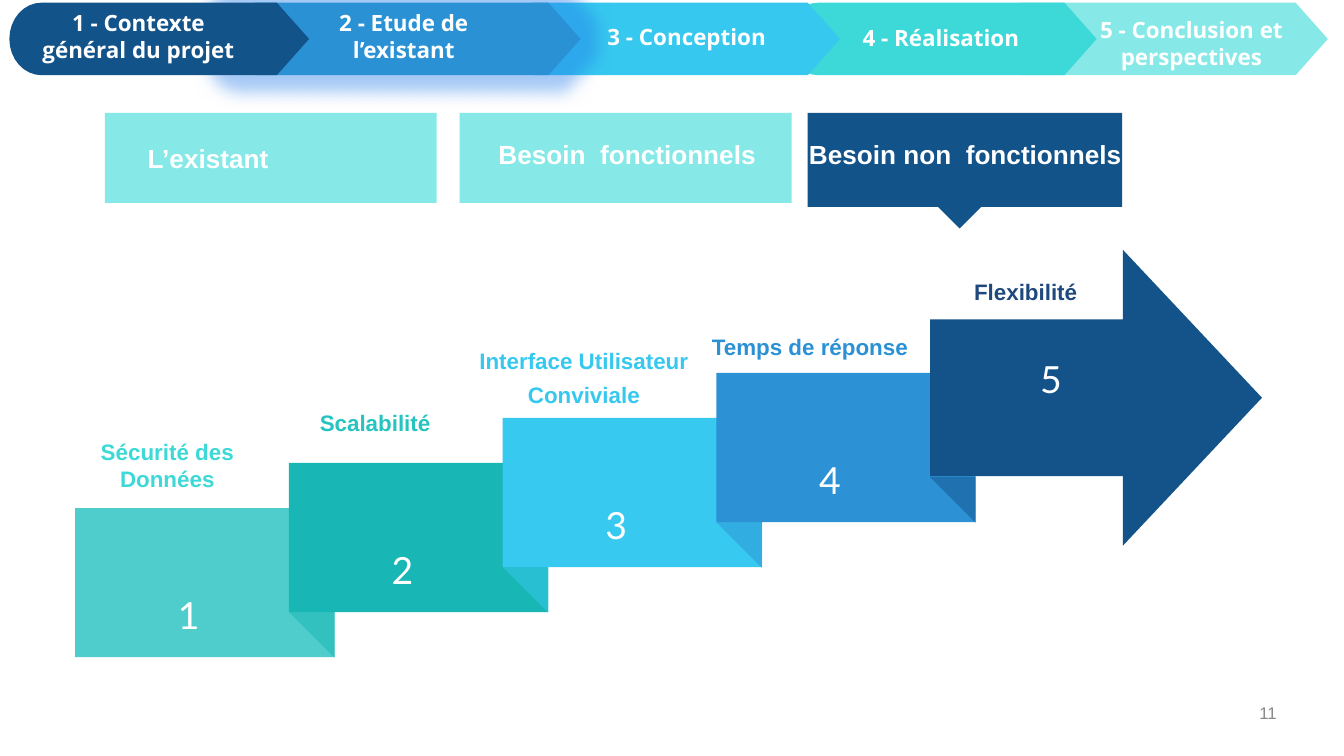
from math import cos, pi, sin

from lxml.etree import SubElement
from pptx import Presentation
from pptx.dml.color import RGBColor
from pptx.enum.shapes import MSO_SHAPE as Kind
from pptx.enum.text import MSO_ANCHOR as Anchor, PP_ALIGN as Align
from pptx.oxml.ns import qn
from pptx.util import Inches, Pt


def tint(code):
    return RGBColor.from_string(code)


class Deck:
    white = "FFFFFF"
    navy = "12538A"
    aqua = "86E9E8"
    pads = (0.1, 0.05)

    def __init__(self, wide, high):
        self.file = Presentation()
        self.file.slide_width = Inches(wide)
        self.file.slide_height = Inches(high)
        self.slide = self.file.slides.add_slide(self.file.slide_layouts[6])
        self.shapes = self.slide.shapes

    def paint(self, shape, fill, alpha=None):
        shape.shadow.inherit = False
        shape.fill.solid()
        shape.fill.fore_color.rgb = tint(fill)
        shape.line.fill.background()
        if alpha:
            color = shape.fill._xPr.find(".//" + qn("a:srgbClr"))
            SubElement(color, qn("a:alpha"), val=str(alpha * 1000))
        return shape

    def block(self, kind, x, y, w, h, fill):
        shape = self.shapes.add_shape(kind, *map(Inches, (x, y, w, h)))
        return self.paint(shape, fill)

    def poly(self, dots, fill, alpha=None):
        dots = [(Inches(x), Inches(y)) for x, y in dots]
        path = self.shapes.build_freeform(*dots[0])
        path.add_line_segments(dots[1:], close=True)
        return self.paint(path.convert_to_shape(), fill, alpha)

    def chevron(self, x, y, w, h, fill):
        tip, half = 0.24, h / 2
        turns = [pi * (0.5 + n / 16) for n in range(17)]
        dots = [(x + tip + tip * cos(t), y + half + half * sin(t)) for t in turns]
        dots += [(x + w - tip, y), (x + w, y + half), (x + w - tip, y + h)]
        return self.poly(dots, fill)

    def glow(self, shape, size, color, alpha):
        fx = shape._element.spPr.find(qn("a:effectLst"))
        halo = SubElement(fx, qn("a:glow"), rad=str(Pt(size)))
        clr = SubElement(halo, qn("a:srgbClr"), val=color)
        SubElement(clr, qn("a:alpha"), val=str(alpha * 1000))

    def text(self, words, x, y, w, h, size=12, font="Arial", color=white,
             bold=True, align=Align.CENTER, pads=pads, lead=None, anchor=Anchor.TOP):
        frame = self.shapes.add_textbox(*map(Inches, (x, y, w, h))).text_frame
        frame.word_wrap = True
        frame.vertical_anchor = anchor
        frame.margin_left = frame.margin_right = Inches(pads[0])
        frame.margin_top = frame.margin_bottom = Inches(pads[1])
        para = frame.paragraphs[0]
        para.alignment = align
        if lead:
            para.line_spacing = Pt(lead)
        run = para.add_run()
        run.text = words
        run.font.size = Pt(size)
        run.font.name = font
        run.font.bold = bold
        run.font.color.rgb = tint(color)

    def save(self):
        self.file.save("out.pptx")


def steps(deck):
    rows = [
        ("Sécurité des Données", "4FCDCC", "3DD9D8", (0.45, 3.26, 1.59, 0.4), None),
        ("Scalabilité ", "18B6B4", "26C4C0", (2.3, 2.99, 1.03, 0.23), 18.2),
        ("Interface Utilisateur Conviviale", "37C9EF", "37C8EF",
         (3.26, 2.53, 2.17, 0.48), 18.2),
        ("Temps de réponse ", "2C92D5", "2B91D5", (5.13, 2.43, 1.84, 0.23), 18.2),
        ("Flexibilité ", "13538A", "1F497D", (7.14, 2.02, 1.03, 0.23), 18.2),
    ]
    fold, high = 0.34, 1.11
    for i, (name, fill, color, box, lead) in enumerate(rows):
        x, y = 0.56 + 1.59 * i, 3.78 - 0.67 * i / 2
        base = y + high
        if i < 4:
            deck.block(Kind.RECTANGLE, x, y, 1.93, high, fill)
            spot = (x, y - 0.16, 1.69, 1.85)
        else:
            arrow = deck.block(Kind.RIGHT_ARROW, x, 1.86, 2.47, 2.2, fill)
            arrow.adjustments[0] = 0.53
            arrow.adjustments[1] = 0.47
            spot = (x, 2.18, 1.8, 1.22)
        if i:
            deck.poly([(x, base), (x + fold, base), (x + fold, base + fold)], fill, 50)
        deck.text(str(i + 1), *spot, size=20, font="Lato", bold=False,
                  pads=(0.03, 0.03), lead=28, anchor=Anchor.MIDDLE)
        deck.text(name, *box, color=color, pads=(0, 0), lead=lead)


def menu(deck):
    tabs = [
        ("1 - Contexte général du projet", 0.07, 2.23, deck.navy, (0.12, 0.02, 1.82, 0.5)),
        ("2 - Etude de l’existant", 1.67, 2.65, "2B91D5", (2.12, 0.02, 1.77, 0.5)),
        ("3 - Conception", 3.74, 2.51, "37C8EF", (4.36, 0.12, 1.5, 0.3)),
        ("4 - Réalisation", 5.85, 2.31, "3DD9D8", (6.32, 0.13, 1.5, 0.3)),
        ("5 - Conclusion et perspectives", 7.37, 2.51, deck.aqua, (8.07, 0.07, 1.59, 0.5)),
    ]
    for name, x, w, fill, box in reversed(tabs):
        tab = deck.chevron(x, 0.02, w, 0.54, fill)
        if name.startswith("2"):
            deck.glow(tab, 18, "1F78E8", 40)
    for name, x, w, fill, box in tabs:
        side = Align.LEFT if name.startswith("4") else Align.CENTER
        deck.text(name, *box, font="Open Sans", align=side)


def topics(deck):
    cards = [
        ("L’existant", 0.78, 2.47, 0.67, deck.aqua, (1, 1.01, 2.22, 0.34)),
        ("Besoin  fonctionnels", 3.42, 2.47, 0.67, deck.aqua, (3.61, 0.98, 2.22, 0.34)),
        ("Besoin non  fonctionnels", 6.01, 2.34, 0.7, deck.navy, (5.92, 0.98, 2.82, 0.34)),
    ]
    for name, x, w, h, fill, box in cards:
        deck.block(Kind.RECTANGLE, x, 0.84, w, h, fill)
        deck.text(name, *box, size=14, align=Align.LEFT)
    deck.poly([(6.95, 1.51), (7.33, 1.51), (7.14, 1.7)], deck.navy)


def main():
    deck = Deck(10, 10 * 9 / 16)
    steps(deck)
    menu(deck)
    deck.text("11", 7.2, 5.23, 2.3, 0.15, size=9, color="888888", bold=False,
              align=Align.RIGHT, pads=(0, 0))
    topics(deck)
    deck.save()


if __name__ == "__main__":
    main()
